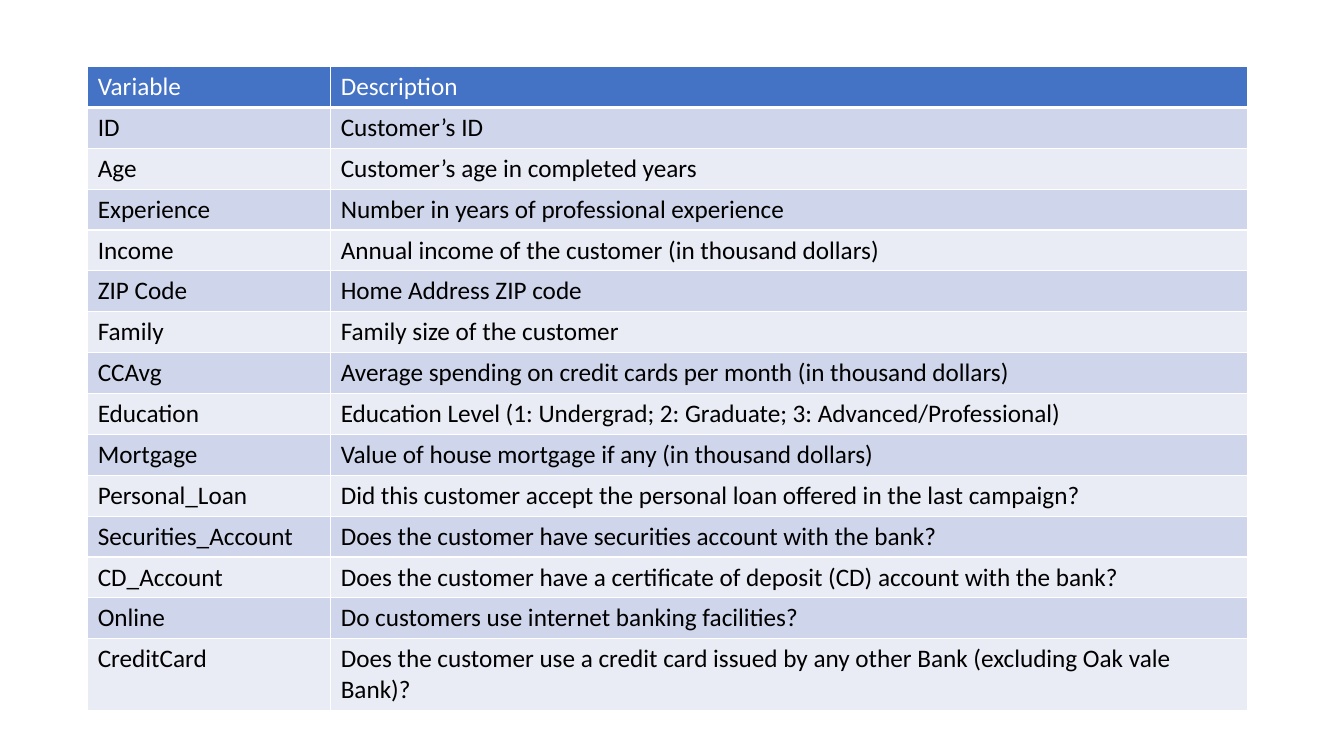
from lxml import etree
from pptx import Presentation
from pptx.dml.color import RGBColor
from pptx.oxml import ns
from pptx.util import Inches, Pt

WHITE = RGBColor(0xFF, 0xFF, 0xFF)
BLACK = RGBColor(0x00, 0x00, 0x00)
HEADER_BLUE = RGBColor(0x44, 0x72, 0xC4)
BAND_DARK = RGBColor(0xCF, 0xD5, 0xEA)
BAND_LIGHT = RGBColor(0xE9, 0xEB, 0xF5)

VARIABLES = [
    ("Variable", "Description"),
    ("ID", "Customer’s ID"),
    ("Age", "Customer’s age in completed years"),
    ("Experience", "Number in years of professional experience"),
    ("Income", "Annual income of the customer (in thousand dollars)"),
    ("ZIP Code", "Home Address ZIP code"),
    ("Family", "Family size of the customer"),
    ("CCAvg", "Average spending on credit cards per month (in thousand dollars)"),
    ("Education", "Education Level (1: Undergrad; 2: Graduate; 3: Advanced/Professional)"),
    ("Mortgage", "Value of house mortgage if any (in thousand dollars)"),
    ("Personal_Loan", "Did this customer accept the personal loan offered in the last campaign?"),
    ("Securities_Account", "Does the customer have securities account with the bank?"),
    ("CD_Account", "Does the customer have a certificate of deposit (CD) account with the bank?"),
    ("Online", "Do customers use internet banking facilities?"),
    ("CreditCard", "Does the customer use a credit card issued by any other Bank (excluding Oak vale Bank)?"),
]


class DataDictionarySlide:
    """Holds the table style and the current slide."""

    font_format = {"name": "Calibri", "size": Pt(18), "bold": False}

    def __init__(self, slide):
        self.slide = slide

    def add_border(self, cell, side, width):
        properties = cell._tc.get_or_add_tcPr()
        line = etree.SubElement(properties, ns.qn(f"a:ln{side}"), w=str(Pt(width)))
        solid = etree.SubElement(line, ns.qn("a:solidFill"))
        etree.SubElement(solid, ns.qn("a:srgbClr"), val=str(WHITE))

    def format_cell(self, cell, wording, fill, ink, bottom_width):
        cell.text = wording
        font = cell.text_frame.paragraphs[0].runs[0].font
        for attribute, value in self.font_format.items():
            setattr(font, attribute, value)
        font.color.rgb = ink
        # Borders come before the fill in the cell properties
        for side, width in zip("LRTB", (1, 1, 1, bottom_width)):
            self.add_border(cell, side, width)
        cell.fill.solid()
        cell.fill.fore_color.rgb = fill

    def add_table(self, entries, left, top, column_widths, height):
        frame = self.slide.shapes.add_table(
            len(entries), len(column_widths), Inches(left), Inches(top),
            Inches(sum(column_widths)), Inches(height))
        dictionary = frame.table
        for column, width in zip(dictionary.columns, column_widths):
            column.width = Inches(width)
        for row, entry in enumerate(entries):
            if row == 0:
                look = (HEADER_BLUE, WHITE, 3)
            else:
                look = (BAND_DARK if row % 2 else BAND_LIGHT, BLACK, 1)
            for column, wording in enumerate(entry):
                self.format_cell(dictionary.cell(row, column), wording, *look)


def main():
    deck = Presentation()
    deck.slide_width, deck.slide_height = Inches(13.33), Inches(7.5)
    blank_layout = deck.slide_layouts[6]
    page = DataDictionarySlide(deck.slides.add_slide(blank_layout))

    # Data dictionary: header row and alternating bands
    page.add_table(VARIABLES, 0.87, 0.66, (2.41, 9.09), 6.08)
    deck.save("out.pptx")


if __name__ == "__main__":
    main()
